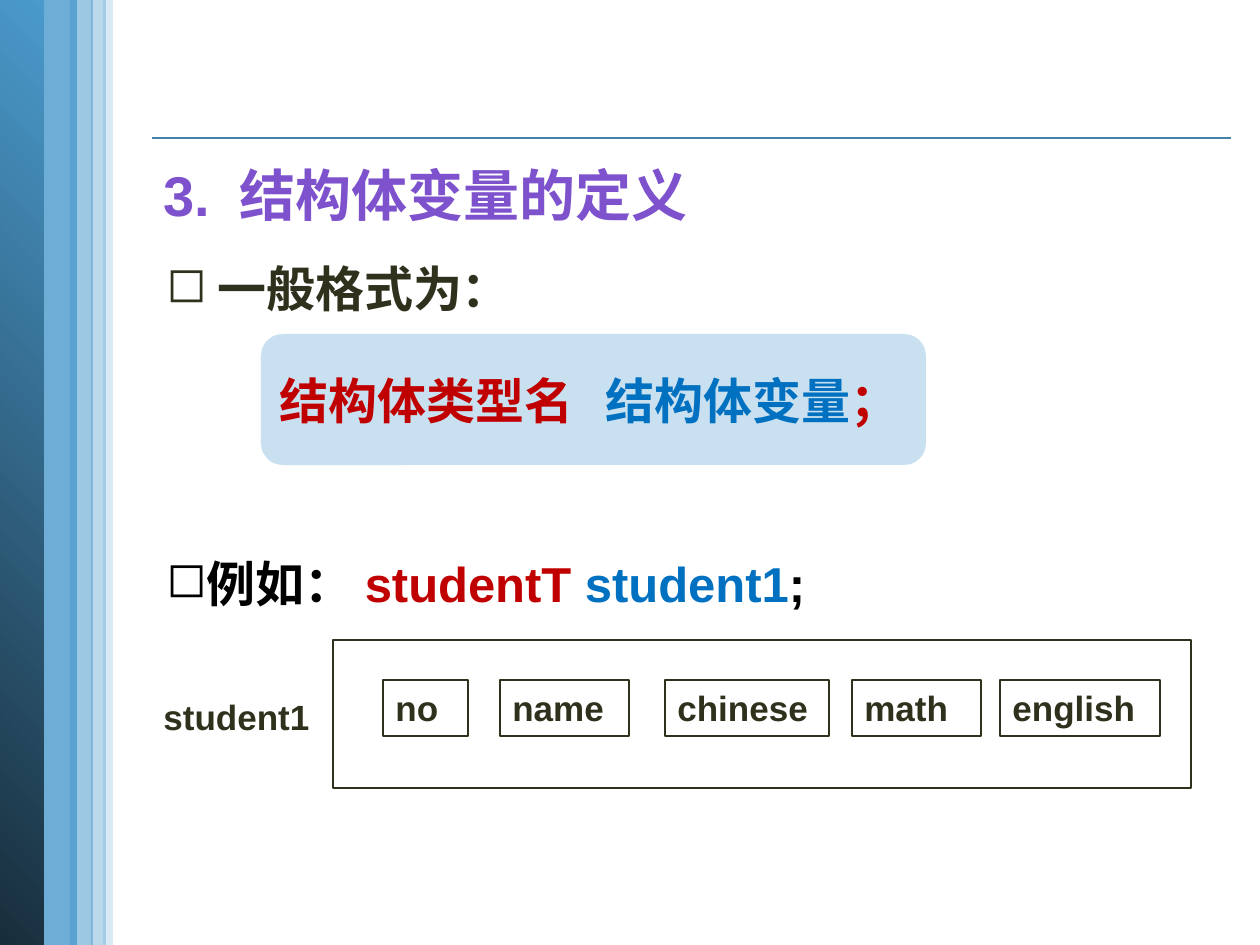
from lxml.etree import SubElement
from pptx import Presentation
from pptx.dml.color import RGBColor
from pptx.enum.shapes import MSO_CONNECTOR, MSO_SHAPE
from pptx.enum.text import MSO_ANCHOR
from pptx.oxml.ns import qn
from pptx.util import Emu, Pt

SCALE = 914400 / 126  # EMU in one px

BLUE = RGBColor(0x4A, 0x9A, 0xCC)
NAVY = RGBColor(0x18, 0x2D, 0x3B)
RULE = RGBColor(0x45, 0x82, 0xA7)
PURPLE = RGBColor(0x7E, 0x52, 0xCC)
INK = RGBColor(0x30, 0x31, 0x1D)
BLACK = RGBColor(0x00, 0x00, 0x00)
RED = RGBColor(0xC0, 0x00, 0x00)
AZURE = RGBColor(0x00, 0x70, 0xC0)

# left, top, width, height, opacity in percent (None: gradient), back to front
STRIPES = [
    (38, 0, 39, 945, 80),
    (-1, 0, 45, 945, None),
    (103, 0, 10, 945, 20),
    (70, 0, 23, 945, 54),
    (91, 0, 15, 945, 37),
]
TITLE = [("3.\t结构体变量的定义", PURPLE)]
# top, hanging indent, spans
BULLETS = [
    (246, 51, [("一般格式为：", INK)]),
    (541, 40, [("例如： ", BLACK), ("studentT ", RED), ("student1", AZURE), (";", BLACK)]),
]
FORMAT = [("结构体类型名\t", RED), ("结构体变量", AZURE), ("；", RED)]
# name, left, width
FIELDS = [
    ("no", 383, 85),
    ("name", 500, 129),
    ("chinese", 665, 164),
    ("math", 852, 129),
    ("english", 1000, 160),
]


def px(value):
    return Emu(round(value * SCALE))


def write(shape, spans, size, tab=None, hanging=None):
    """Fill a shape with one paragraph of coloured spans."""
    frame = shape.text_frame
    frame.word_wrap = True
    paragraph = frame.paragraphs[0]
    properties = paragraph._p.get_or_add_pPr()
    properties.set("algn", "l")
    if hanging:
        properties.set("marL", str(px(hanging)))
        properties.set("indent", str(-px(hanging)))
        paragraph.line_spacing = 1.1
        SubElement(properties, qn("a:buChar"), char="◻")
    if tab:
        tabs = SubElement(properties, qn("a:tabLst"))
        SubElement(tabs, qn("a:tab"), pos=str(px(tab)), algn="l")
    for text, colour in spans:
        span = paragraph.add_run()
        span.text = text
        span.font.name = "Arial"
        span.font.size = Pt(size)
        span.font.bold = True
        span.font.color.rgb = colour


def add_text(page, left, top, width, height, spans, size, **layout):
    box = page.shapes.add_textbox(px(left), px(top), px(width), px(height))
    write(box, spans, size, **layout)


def add_block(page, kind, left, top, width, height):
    """Add a shape with no shadow, fill or line."""
    block = page.shapes.add_shape(kind, px(left), px(top), px(width), px(height))
    block.shadow.inherit = False
    block.fill.background()
    block.line.fill.background()
    return block


def tint(block, opacity):
    block.fill.solid()
    block.fill.fore_color.rgb = BLUE
    colour = block._element.spPr.find(qn("a:solidFill")).find(qn("a:srgbClr"))
    SubElement(colour, qn("a:alpha"), val=str(opacity * 1000))


def outline(block, weight):
    block.line.color.rgb = INK
    block.line.width = Pt(weight)


def add_background(page):
    rule = page.shapes.add_connector(
        MSO_CONNECTOR.STRAIGHT, px(152), px(138), px(1231), px(138))
    rule.line.color.rgb = RULE
    rule.line.width = Pt(1)
    SubElement(rule._element.spPr, qn("a:effectLst"))
    for *place, opacity in STRIPES:
        stripe = add_block(page, MSO_SHAPE.RECTANGLE, *place)
        if opacity is None:
            stripe.fill.gradient()
            stripe.fill.gradient_angle = 45
            for stop, colour in zip(stripe.fill.gradient_stops, (NAVY, BLUE)):
                stop.color.rgb = colour
        else:
            tint(stripe, opacity)


def add_record(page):
    """Draw the structure variable as a frame holding its fields."""
    frame = add_block(page, MSO_SHAPE.RECTANGLE, 333, 640, 858, 148)
    outline(frame, 0.75)
    for name, left, width in FIELDS:
        field = add_block(page, MSO_SHAPE.RECTANGLE, left, 680, width, 56)
        outline(field, 1)
        field.text_frame.vertical_anchor = MSO_ANCHOR.TOP
        write(field, [(name, INK)], 20)
    add_text(page, 151, 689, 181, 54, [("student1", INK)], 20)


def main():
    deck = Presentation()
    deck.slide_width, deck.slide_height = px(1260), px(945)
    page = deck.slides.add_slide(deck.slide_layouts[6])
    add_background(page)
    add_text(page, 151, 154, 832, 78, TITLE, 32, tab=76)
    for top, hanging, spans in BULLETS:
        add_text(page, 154, top, 1050, 75, spans, 28, hanging=hanging)
    panel = add_block(page, MSO_SHAPE.ROUNDED_RECTANGLE, 261, 334, 665, 131)
    tint(panel, 30)
    panel.text_frame.vertical_anchor = MSO_ANCHOR.MIDDLE
    write(panel, FORMAT, 28, tab=326)
    add_record(page)
    deck.save("out.pptx")


if __name__ == "__main__":
    main()
